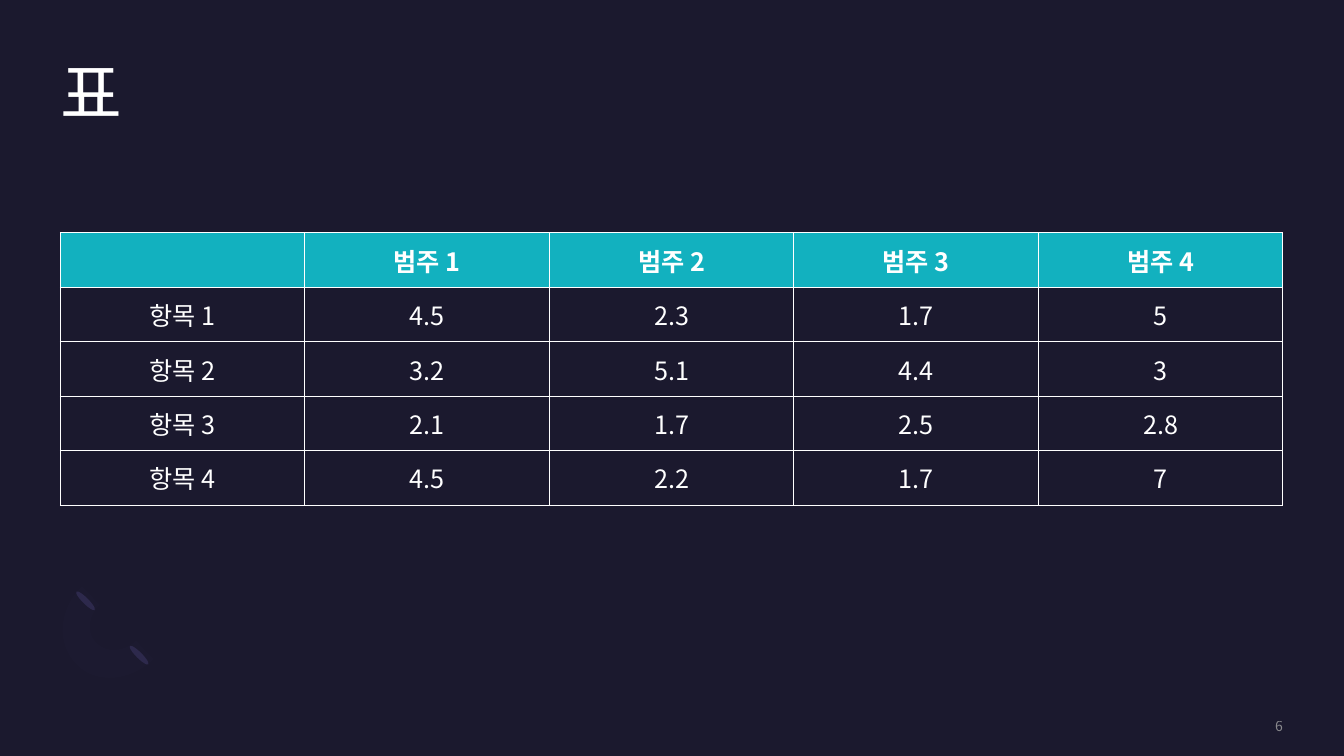
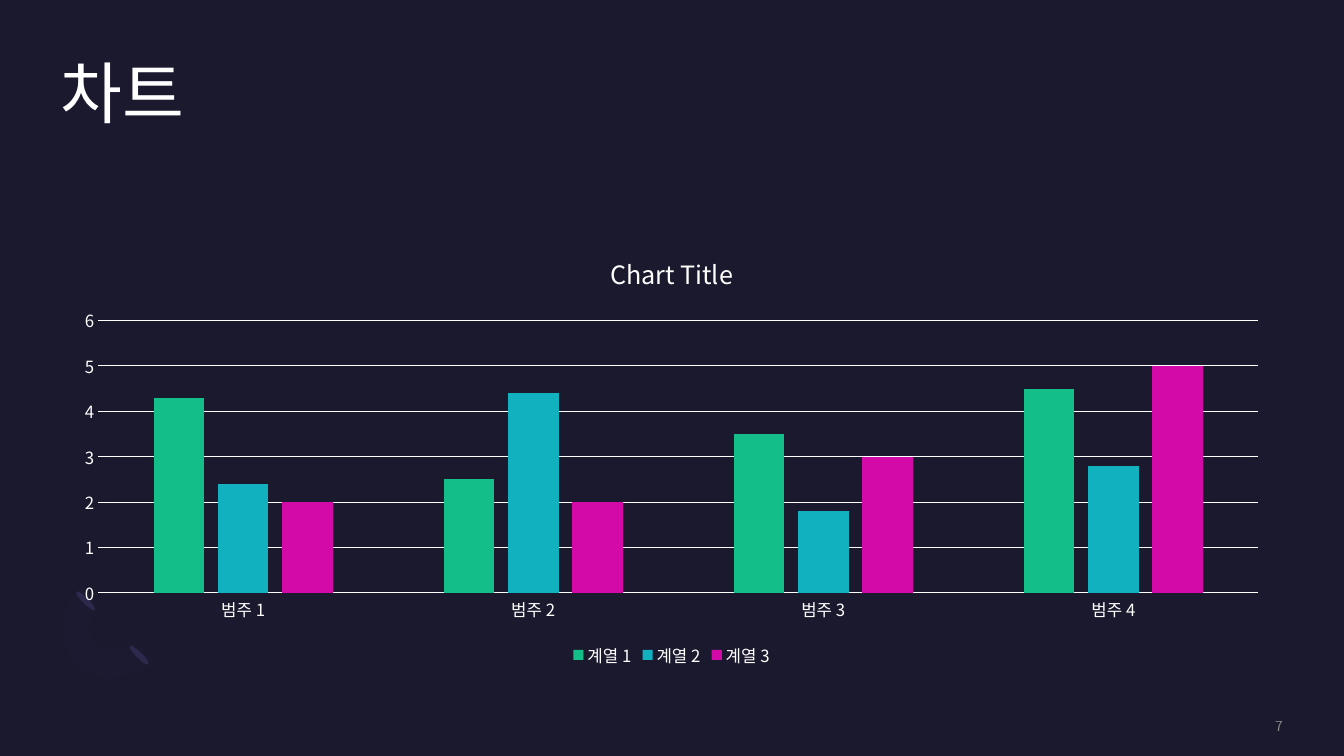
from lxml.etree import SubElement
from pptx import Presentation
from pptx.chart.data import CategoryChartData
from pptx.dml.color import RGBColor
from pptx.enum.chart import XL_CHART_TYPE, XL_LEGEND_POSITION, XL_TICK_MARK
from pptx.enum.shapes import MSO_SHAPE
from pptx.enum.text import MSO_ANCHOR, MSO_AUTO_SIZE, PP_ALIGN
from pptx.oxml.ns import qn
from pptx.util import Cm, Pt

FONT = "Noto Sans CJK KR"
BACKGROUND = "1B192E"
WHITE = "FFFFFF"
GREY = "A6A6A6"
GREEN = "13BE89"
TEAL = "12B1BF"
PINK = "D40AA8"
CAP = "2C284A"
RING = "7771B2"

LEFT, WIDTH = 1.52, 30.81
TITLE_BOX = (LEFT, 1.52, WIDTH, 3.71)
TABLE_BOX = (LEFT, 5.87, WIDTH, 6.86)
CHART_BOX = (LEFT, 5.87, WIDTH, 11.05)
NUMBER_BOX = (27.63, 18.08, 4.7, 0.43)
ORNAMENT_AT = (1.5, 14.78)

CATEGORIES = ["범주 1", "범주 2", "범주 3", "범주 4"]
TABLE_ROWS = [
    ["", *CATEGORIES],
    ["항목 1", "4.5", "2.3", "1.7", "5"],
    ["항목 2", "3.2", "5.1", "4.4", "3"],
    ["항목 3", "2.1", "1.7", "2.5", "2.8"],
    ["항목 4", "4.5", "2.2", "1.7", "7"],
]
SERIES = [
    ("계열 1", (4.3, 2.5, 3.5, 4.5), GREEN),
    ("계열 2", (2.4, 4.4, 1.8, 2.8), TEAL),
    ("계열 3", (2, 2, 3, 5), PINK),
]
RING_START = (0.43, 1.96)
RING_CURVES = [
    [(-0.08, 1.45), (-0.03, 0.59), (0.56, 0)],
    [(1.01, 0.46)],
    [(0.71, 0.74), (0.68, 1.2), (0.94, 1.43)],
    [(1.19, 1.68), (1.62, 1.65), (1.93, 1.37)],
    [(2.36, 1.83)],
    [(1.8, 2.39), (0.91, 2.47), (0.43, 1.96)],
]


def rgb(color):
    return RGBColor.from_string(color)


def paint(fill, color):
    fill.solid()
    fill.fore_color.rgb = rgb(color)


def set_opacity(element, percent):
    clr = element.find(".//" + qn("a:srgbClr"))
    SubElement(clr, qn("a:alpha"), val=str(percent * 1000))


def set_font(font, size, color=WHITE, bold=False, opacity=100):
    font.size = Pt(size)
    font.bold = bold
    font.name = FONT
    font.color.rgb = rgb(color)
    rPr = font._element
    SubElement(rPr, qn("a:ea"), typeface=FONT)
    if opacity < 100:
        set_opacity(rPr, opacity)


def write(tf, text, align=PP_ALIGN.LEFT, spacing=None, **style):
    p = tf.paragraphs[0]
    p.alignment = align
    p.line_spacing = spacing
    r = p.add_run()
    r.text = text
    set_font(r.font, **style)


def clear_insets(tf, anchor):
    tf.margin_left = tf.margin_top = tf.margin_right = tf.margin_bottom = 0
    tf.vertical_anchor = anchor
    tf.word_wrap = True
    tf.auto_size = MSO_AUTO_SIZE.NONE


def finish_shape(sp, color):
    paint(sp.fill, color)
    sp.line.fill.background()
    sp.shadow.inherit = False


def curve_points(start, controls, steps=16):
    if len(controls) == 1:
        return controls
    nodes = [start, *controls]
    points = []
    for i in range(1, steps + 1):
        t = i / steps
        weights = ((1 - t) ** 3, 3 * t * (1 - t) ** 2, 3 * t * t * (1 - t), t ** 3)
        points.append(tuple(sum(w * n[k] for w, n in zip(weights, nodes)) for k in (0, 1)))
    return points


def add_ornament(slide, left, top):
    for dx, dy in ((1.93, 1.4), (0.58, 0.03)):
        sp = slide.shapes.add_shape(MSO_SHAPE.OVAL, Cm(left + dx), Cm(top + dy), Cm(0.15), Cm(0.66))
        sp.rotation = 135
        finish_shape(sp, CAP)
    points = [RING_START]
    for controls in RING_CURVES:
        points += curve_points(points[-1], controls)
    outline = [(Cm(left + x), Cm(top + y)) for x, y in points]
    builder = slide.shapes.build_freeform(*outline[0])
    builder.add_line_segments(outline[1:], close=True)
    sp = builder.convert_to_shape()
    finish_shape(sp, RING)
    set_opacity(sp.element.spPr, 2)


def add_title(slide, text, box):
    sp = slide.shapes.title
    sp.left, sp.top, sp.width, sp.height = map(Cm, box)
    clear_insets(sp.text_frame, MSO_ANCHOR.TOP)
    write(sp.text_frame, text, spacing=0.9, size=48)


def add_number(slide, number, box):
    tf = slide.shapes.add_textbox(*map(Cm, box)).text_frame
    clear_insets(tf, MSO_ANCHOR.MIDDLE)
    write(tf, str(number), align=PP_ALIGN.RIGHT, size=10, color=GREY, opacity=80)


def add_base_slide(prs, title, number):
    slide = prs.slides.add_slide(prs.slide_layouts[5])
    add_ornament(slide, *ORNAMENT_AT)
    add_title(slide, title, TITLE_BOX)
    add_number(slide, number, NUMBER_BOX)
    return slide


def set_borders(cell, color, width):
    tcPr = cell._tc.get_or_add_tcPr()
    for side in ("lnL", "lnR", "lnT", "lnB"):
        ln = SubElement(tcPr, qn("a:" + side), w=str(Pt(width)))
        SubElement(SubElement(ln, qn("a:solidFill")), qn("a:srgbClr"), val=color)


def add_data_table(slide, rows, box):
    table = slide.shapes.add_table(len(rows), len(rows[0]), *map(Cm, box)).table
    table.horz_banding = False
    for i, row in enumerate(rows):
        for j, text in enumerate(row):
            cell = table.cell(i, j)
            cell.vertical_anchor = MSO_ANCHOR.MIDDLE
            set_borders(cell, WHITE, 0.75)
            if i == 0:
                paint(cell.fill, TEAL)
            else:
                cell.fill.background()
            if text:
                write(cell.text_frame, text, align=PP_ALIGN.CENTER, size=18, bold=i == 0)


def format_line(line, color=WHITE, width=0.75):
    paint(line.fill, color)
    line.width = Pt(width)


def add_column_chart(slide, title, box):
    data = CategoryChartData()
    data.categories = CATEGORIES
    for name, values, _ in SERIES:
        data.add_series(name, values)
    chart = slide.shapes.add_chart(XL_CHART_TYPE.COLUMN_CLUSTERED, *map(Cm, box), data).chart
    set_font(chart.font, 10)
    chart.has_title = True
    chart.chart_title.include_in_layout = False
    write(chart.chart_title.text_frame, title, align=PP_ALIGN.CENTER, size=18)
    chart.has_legend = True
    chart.legend.position = XL_LEGEND_POSITION.BOTTOM
    chart.legend.include_in_layout = False
    set_font(chart.legend.font, 12)

    plot = chart.plots[0]
    plot.gap_width = 219
    plot.overlap = -27
    plot.vary_by_categories = False
    for series, (_, _, color) in zip(plot.series, SERIES):
        paint(series.format.fill, color)

    for axis in (chart.category_axis, chart.value_axis):
        axis.major_tick_mark = axis.minor_tick_mark = XL_TICK_MARK.NONE
        set_font(axis.tick_labels.font, 12)
    format_line(chart.category_axis.format.line)
    value_axis = chart.value_axis
    value_axis.minimum_scale, value_axis.maximum_scale, value_axis.major_unit = 0, 6, 1
    value_axis.format.line.fill.background()
    format_line(value_axis.major_gridlines.format.line)


def main():
    prs = Presentation()
    prs.slide_width, prs.slide_height = Cm(33.87), Cm(19.05)
    paint(prs.slide_master.background.fill, BACKGROUND)
    add_data_table(add_base_slide(prs, "표", 6), TABLE_ROWS, TABLE_BOX)
    add_column_chart(add_base_slide(prs, "차트", 7), "Chart Title", CHART_BOX)
    prs.save("out.pptx")


if __name__ == "__main__":
    main()
